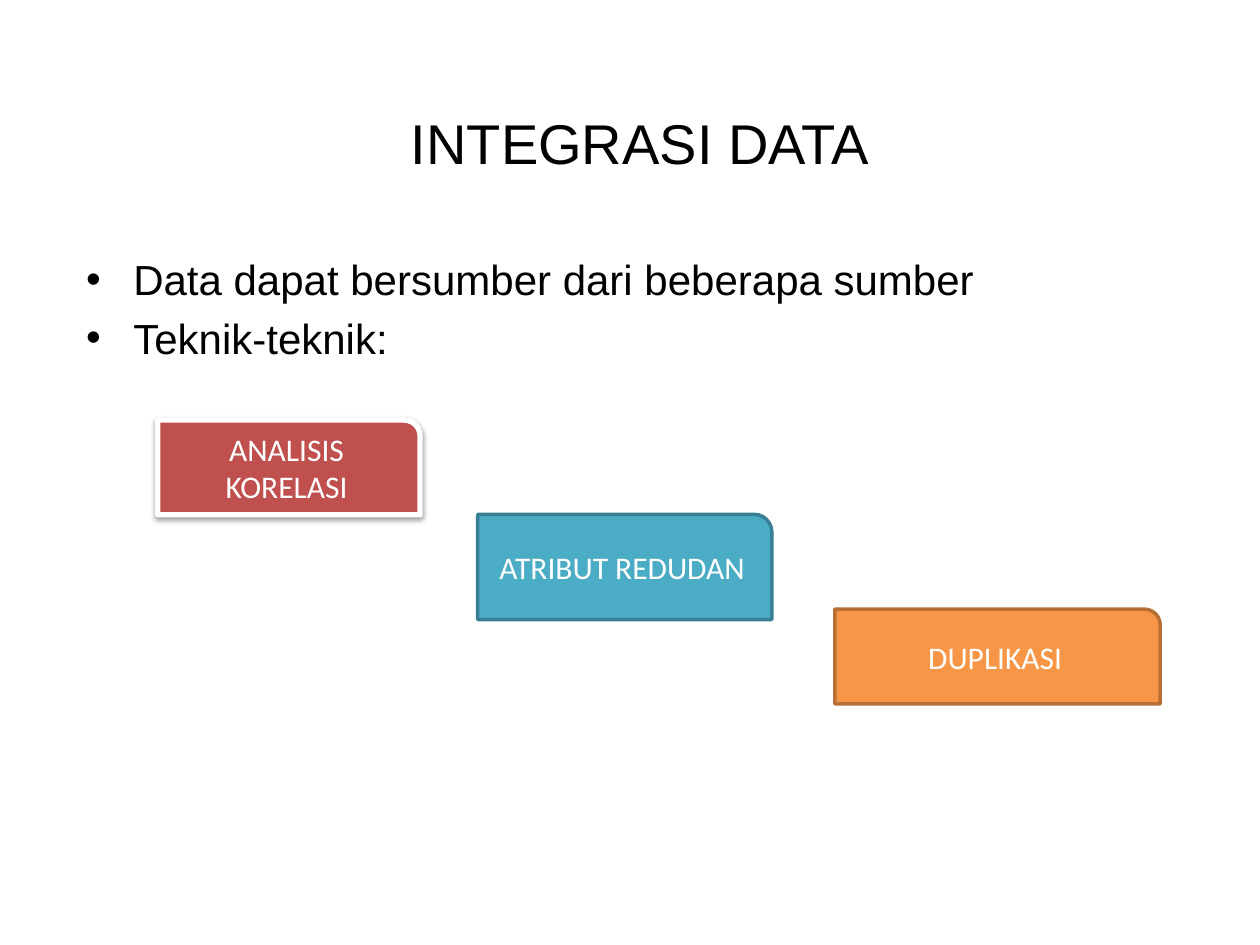
from dataclasses import dataclass

from lxml.etree import SubElement as Sub
from pptx import Presentation as Deck
from pptx.dml.color import RGBColor as Rgb
from pptx.enum.shapes import MSO_SHAPE as Kind
from pptx.enum.text import MSO_ANCHOR as Anchor, MSO_AUTO_SIZE as Fit, PP_ALIGN as Align
from pptx.oxml.ns import qn
from pptx.util import Cm, Pt

INK = {
    "black": "000000", "white": "FFFFFF",
    "red": "C0504D", "teal": "4BACC6", "orange": "F79646",
    "sea": "377F92", "rust": "B76F34",
}


@dataclass
class Card:
    text: str
    left: float
    top: float
    width: float
    height: float
    fill: str
    edge: str
    line: float = 2
    shade: bool = False


CARDS = [
    Card("ANALISIS KORELASI", 3.18, 8.47, 5.29, 1.91, "red", "white", 3, True),
    Card("ATRIBUT REDUDAN", 9.63, 10.37, 5.93, 2.12, "teal", "sea"),
    Card("DUPLIKASI", 16.83, 12.28, 6.56, 1.91, "orange", "rust"),
]


def tint(name: str) -> Rgb:
    return Rgb.from_string(INK[name])


def place(shape, left: float, top: float, width: float, height: float) -> None:
    shape.left, shape.top = Cm(left), Cm(top)
    shape.width, shape.height = Cm(width), Cm(height)


def style(frame, size: float, face: str, ink: str, align: Align) -> None:
    frame.word_wrap = True
    frame.auto_size = Fit.NONE
    for para in frame.paragraphs:
        para.alignment = align
        for run in para.runs:
            run.font.size = Pt(size)
            run.font.name = face
            run.font.color.rgb = tint(ink)


def shade(shape) -> None:
    list_ = shape._element.spPr.find(qn("a:effectLst"))
    glow = Sub(list_, qn("a:outerShdw"), blurRad=str(Pt(3.1)), dist=str(Pt(1.6)),
               dir="5400000", rotWithShape="0")
    hue = Sub(glow, qn("a:srgbClr"), val=INK["black"])
    Sub(hue, qn("a:alpha"), val="38000")


def draw(slide, card: Card) -> None:
    shape = slide.shapes.add_shape(
        Kind.ROUND_1_RECTANGLE, Cm(card.left), Cm(card.top), Cm(card.width), Cm(card.height))
    shape.shadow.inherit = False
    if card.shade:
        shade(shape)
    shape.fill.solid()
    shape.fill.fore_color.rgb = tint(card.fill)
    shape.line.color.rgb = tint(card.edge)
    shape.line.width = Pt(card.line)
    frame = shape.text_frame
    frame.text = card.text
    frame.vertical_anchor = Anchor.MIDDLE
    style(frame, 18, "Calibri", "white", Align.CENTER)


def main() -> None:
    deck = Deck()
    deck.slide_width, deck.slide_height = Cm(25.4), Cm(19.05)
    slide = deck.slides.add_slide(deck.slide_layouts[1])

    title = slide.shapes.title
    place(title, 1.48, 1.91, 22.86, 1.91)
    title.text_frame.text = "INTEGRASI DATA"
    title.text_frame.vertical_anchor = Anchor.MIDDLE
    style(title.text_frame, 32, "Arial", "black", Align.CENTER)
    props = title.text_frame.paragraphs[0]._p.get_or_add_pPr()
    Sub(Sub(props, qn("a:spcBef")), qn("a:spcPct"), val="50000")

    body = slide.placeholders[1]
    place(body, 1.48, 4.98, 22.86, 10.69)
    body.text_frame.text = "Data dapat bersumber dari beberapa sumber\nTeknik-teknik:"
    style(body.text_frame, 24, "Arial", "black", Align.JUSTIFY)

    for card in CARDS:
        draw(slide, card)
    deck.save("out.pptx")


if __name__ == "__main__":
    main()
